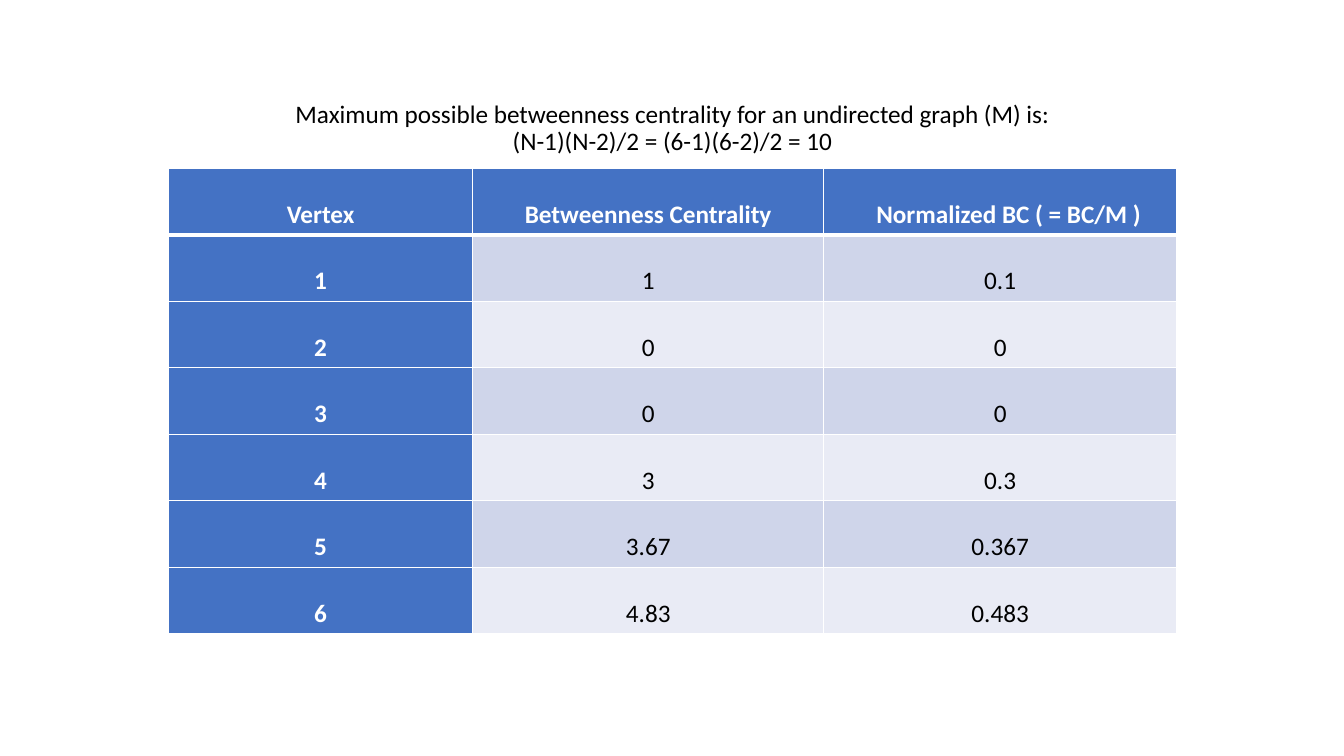
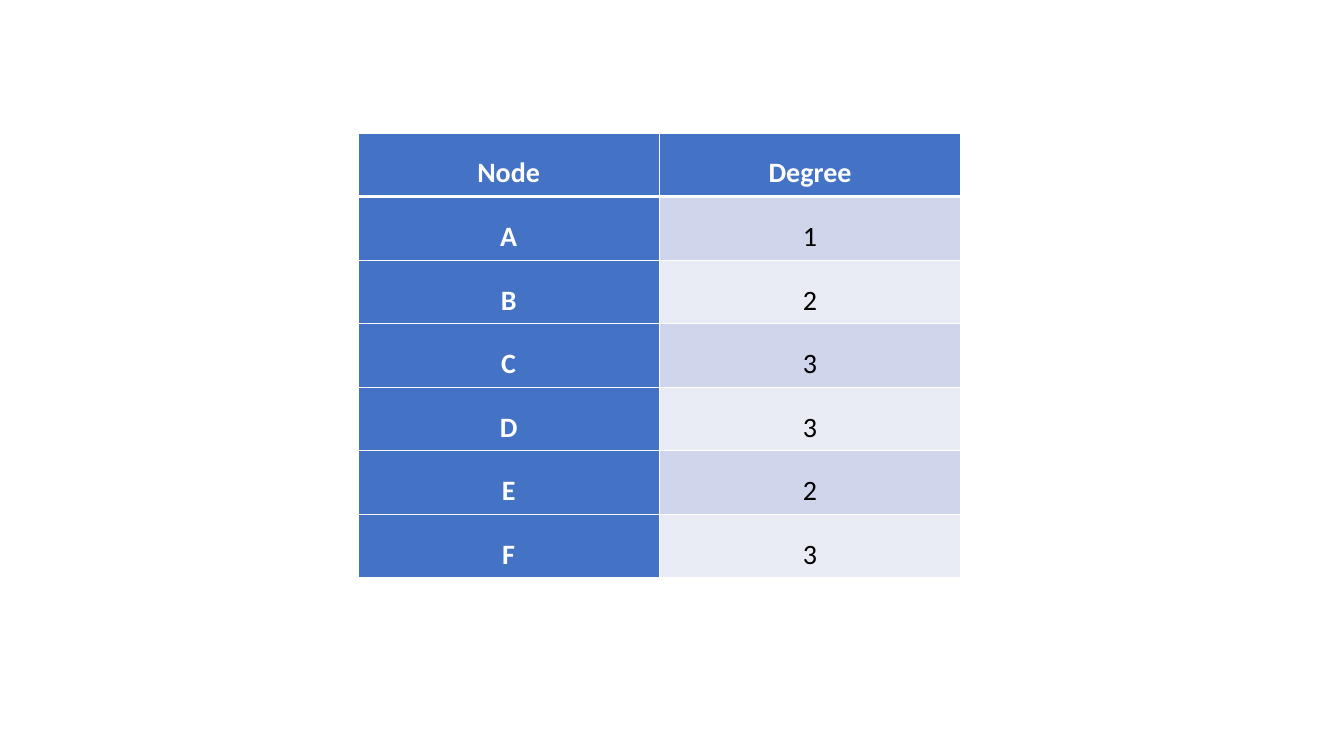
"""Build two slides of graph centrality and degree tables."""
import lxml.etree
import pptx
import pptx.dml.color
import pptx.enum.text
import pptx.oxml.ns
import pptx.util

Inches = pptx.util.Inches
Pt = pptx.util.Pt
RGBColor = pptx.dml.color.RGBColor
MSO_ANCHOR = pptx.enum.text.MSO_ANCHOR
CENTER = pptx.enum.text.PP_ALIGN.CENTER

BLUE = RGBColor(0x44, 0x72, 0xC4)
BAND_DARK = RGBColor(0xCF, 0xD5, 0xEA)
BAND_LIGHT = RGBColor(0xE9, 0xEB, 0xF5)
WHITE = RGBColor(0xFF, 0xFF, 0xFF)
BLACK = RGBColor(0x00, 0x00, 0x00)
FONT = "Calibri"


def format_paragraph(paragraph, paragraph_format, size, bold, color):
    for name, value in {"alignment": CENTER, **paragraph_format}.items():
        setattr(paragraph, name, value)
    for run in paragraph.runs:
        for name, value in {"name": FONT, "size": Pt(size), "bold": bold}.items():
            setattr(run.font, name, value)
        run.font.color.rgb = color


def add_border(cell, side, width):
    properties = cell._tc.get_or_add_tcPr()
    line = lxml.etree.SubElement(properties, pptx.oxml.ns.qn(f"a:ln{side}"), w=str(Pt(width)))
    fill = lxml.etree.SubElement(line, pptx.oxml.ns.qn("a:solidFill"))
    lxml.etree.SubElement(fill, pptx.oxml.ns.qn("a:srgbClr"), val=str(WHITE))


TABLES = [
    {
        "title": "Maximum possible betweenness centrality for an undirected graph (M) is:\v"
                 "(N-1)(N-2)/2 = (6-1)(6-2)/2 = 10",
        "left": 1.67, "top": 1.67, "columns": [3.02, 3.48, 3.5], "row_height": 0.66,
        "size": 18, "margins": (0.07, 0),
        "paragraph": {"line_spacing": 2.0, "space_after": Pt(8)},
        "header_indents": {2: 0.17},
        "rows": [
            ["Vertex", "Betweenness Centrality", "Normalized BC ( = BC/M )"],
            ["1", "1", "0.1"],
            ["2", "0", "0"],
            ["3", "0", "0"],
            ["4", "3", "0.3"],
            ["5", "3.67", "0.367"],
            ["6", "4.83", "0.483"],
        ],
    },
    {
        "title": None,
        "left": 3.55, "top": 1.32, "columns": [2.99, 2.99], "row_height": 0.62,
        "size": 20, "margins": (0.06, 0.06),
        "paragraph": {"line_spacing": 1.5},
        "header_indents": {},
        "rows": [
            ["Node", "Degree"],
            ["A", "1"],
            ["B", "2"],
            ["C", "3"],
            ["D", "3"],
            ["E", "2"],
            ["F", "3"],
        ],
    },
]

presentation = pptx.Presentation()
presentation.slide_width = Inches(13.33)
presentation.slide_height = Inches(7.5)
TITLE_ONLY, BLANK = presentation.slide_layouts[5], presentation.slide_layouts[6]

for content in TABLES:
    slide = presentation.slides.add_slide(TITLE_ONLY if content["title"] else BLANK)

    if content["title"]:
        title = slide.shapes.title
        for name, value in {"left": 1.67, "top": 0.9, "width": 10, "height": 0.7}.items():
            setattr(title, name, Inches(value))
        text_frame = title.text_frame
        text_frame.text = content["title"]
        text_frame.word_wrap = True
        text_frame.auto_size = pptx.enum.text.MSO_AUTO_SIZE.NONE
        text_frame.vertical_anchor = MSO_ANCHOR.BOTTOM
        format_paragraph(text_frame.paragraphs[0], {"line_spacing": 0.9}, 18, False, BLACK)

    rows, columns = content["rows"], content["columns"]
    table = slide.shapes.add_table(
        len(rows), len(columns), Inches(content["left"]), Inches(content["top"]),
        Inches(sum(columns)), Inches(content["row_height"] * len(rows))).table
    table.first_col = True
    for column, width in zip(table.columns, columns):
        column.width = Inches(width)

    side_margin, end_margin = content["margins"]
    for row_index, values in enumerate(rows):
        table.rows[row_index].height = Inches(content["row_height"])
        for column_index, value in enumerate(values):
            cell = table.cell(row_index, column_index)
            cell.text = value
            indent = content["header_indents"].get(column_index, 0) if row_index == 0 else 0
            cell_format = {
                "margin_left": Inches(side_margin + indent),
                "margin_right": Inches(side_margin),
                "margin_top": Inches(end_margin),
                "margin_bottom": Inches(end_margin),
                "vertical_anchor": MSO_ANCHOR.TOP,
            }
            for name, setting in cell_format.items():
                setattr(cell, name, setting)

            top_width = 3 if row_index == 1 else 1
            bottom_width = 3 if row_index == 0 else 1
            for side, width in {"L": 1, "R": 1, "T": top_width, "B": bottom_width}.items():
                add_border(cell, side, width)

            is_heading = row_index == 0 or column_index == 0
            band = BAND_DARK if row_index % 2 else BAND_LIGHT
            cell.fill.solid()
            cell.fill.fore_color.rgb = BLUE if is_heading else band
            format_paragraph(cell.text_frame.paragraphs[0], content["paragraph"],
                             content["size"], is_heading, WHITE if is_heading else BLACK)

presentation.save("out.pptx")
